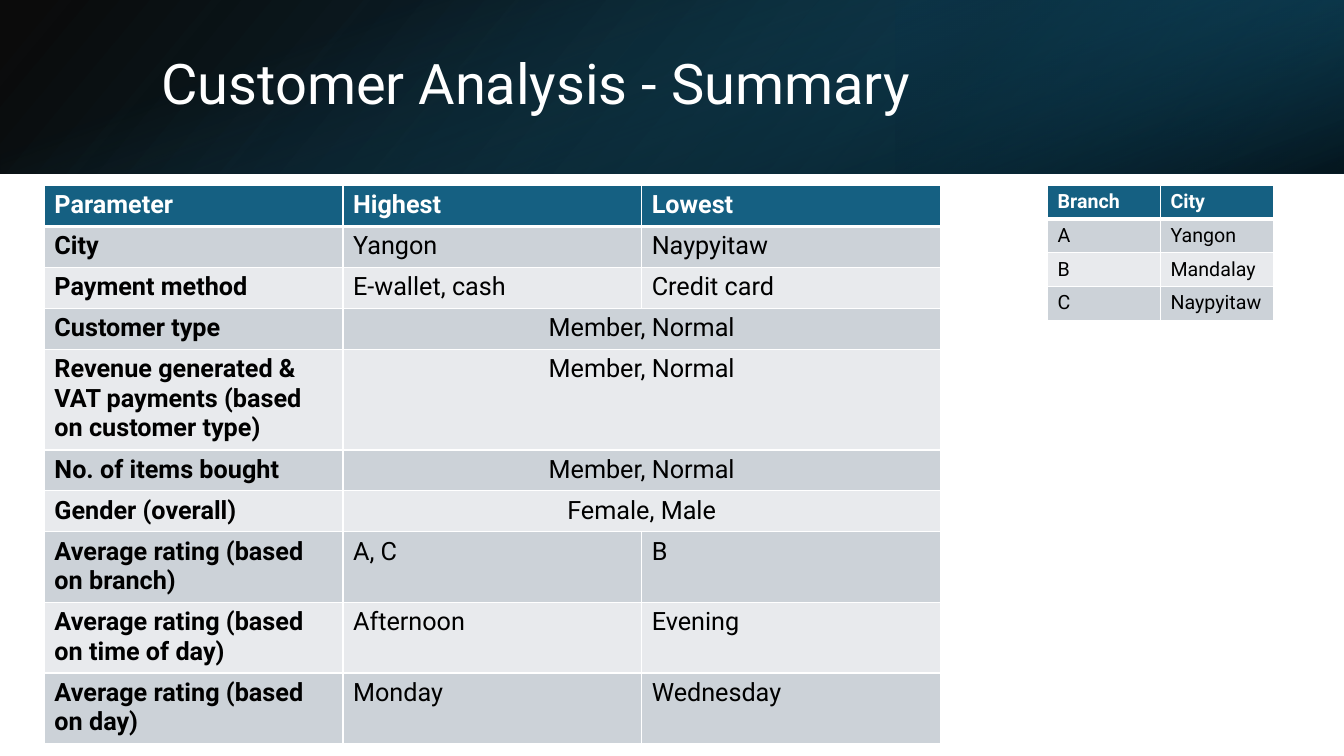
from lxml import etree
from pptx import Presentation
from pptx.dml.color import RGBColor
from pptx.enum.shapes import MSO_SHAPE
from pptx.enum.text import MSO_ANCHOR, PP_ALIGN
from pptx.oxml.ns import qn
from pptx.util import Inches, Pt

RECTANGLE = MSO_SHAPE.RECTANGLE
MIDDLE = MSO_ANCHOR.MIDDLE
LEFT, CENTER = PP_ALIGN.LEFT, PP_ALIGN.CENTER

WIDTH, HEIGHT = 13.33, 7.5
BANNER_HEIGHT = 1.72
TABLE_TOP = 1.84
FONT = "Roboto"
COLORS = {
    "black": "000000",
    "white": "FFFFFF",
    "teal": "156082",
    "deep_teal": "104862",
    "navy": "0B3041",
    "band_dark": "CCD2D8",
    "band_light": "E8EAED",
}

SUMMARY_ROWS = [
    ("Parameter", "Highest", "Lowest"),
    ("City", "Yangon", "Naypyitaw"),
    ("Payment method", "E-wallet, cash", "Credit card"),
    ("Customer type", "Member, Normal"),
    ("Revenue generated & VAT payments (based on customer type)", "Member, Normal"),
    ("No. of items bought", "Member, Normal"),
    ("Gender (overall)", "Female, Male"),
    ("Average rating (based on branch)", "A, C", "B"),
    ("Average rating (based on time of day)", "Afternoon", "Evening"),
    ("Average rating (based on day)", "Monday", "Wednesday"),
]
BRANCH_ROWS = [
    ("Branch", "City"),
    ("A", "Yangon"),
    ("B", "Mandalay"),
    ("C", "Naypyitaw"),
]


def color(name):
    """Return the named colour."""
    return RGBColor.from_string(COLORS[name])


def write_text(frame, text, size=18, fill="black", bold=False, align=LEFT, spacing=1.0):
    """Write one formatted paragraph into a text frame."""
    paragraph = frame.paragraphs[0]
    paragraph.alignment = align
    paragraph.line_spacing = spacing
    run = paragraph.add_run()
    run.text = text
    run.font.name = FONT
    run.font.size = Pt(size)
    run.font.bold = bold
    run.font.color.rgb = color(fill)


def add_gradient(slide, box, stops, angle, rotation=0, flip=False):
    """Add a rectangle with a gradient of (position, colour, opacity) stops."""
    shape = slide.shapes.add_shape(RECTANGLE, *map(Inches, box))
    shape.shadow.inherit = False
    shape.line.fill.background()
    shape.rotation = rotation
    properties = shape._element.spPr
    if flip:
        properties.get_or_add_xfrm().set("flipH", "1")
    shape.fill.gradient()
    shape.fill.gradient_angle = 360 - angle
    for stop, (position, name, _) in zip(shape.fill.gradient_stops, stops):
        stop.position = position / 100
        stop.color.rgb = color(name)
    for tint, (_, _, opacity) in zip(properties.iter(qn("a:srgbClr")), stops):
        etree.SubElement(tint, qn("a:alpha")).set("val", str(opacity * 1000))


def add_banner(slide, left, top, width, height):
    """Layer the three gradients of the banner and put the title on them."""
    add_gradient(slide, (left, top, width, height),
                 [(0, "black", 96), (100, "deep_teal", 100)], 140, flip=True)
    add_gradient(slide, (left + width * 2 / 3, top, width / 3, height),
                 [(19, "navy", 68), (100, "teal", 79)], 320, rotation=180, flip=True)
    offset = (width - height) / 2
    add_gradient(slide, (left + offset, top - offset, height, width),
                 [(23, "teal", 0), (99, "black", 74)], 340, rotation=90)
    title = slide.shapes.add_textbox(
        Inches(left + 1.5), Inches(top + 0.38), Inches(10.98), Inches(0.96))
    title.text_frame.word_wrap = True
    title.text_frame.vertical_anchor = MIDDLE
    write_text(title.text_frame, "Customer Analysis - Summary",
               size=40, fill="white", spacing=0.9)


def set_borders(cell, top, bottom):
    """Give a cell white borders with the given top and bottom widths."""
    properties = cell._tc.get_or_add_tcPr()
    for side, points in (("L", 1), ("R", 1), ("T", top), ("B", bottom)):
        line = etree.SubElement(properties, qn(f"a:ln{side}"), w=str(Pt(points)))
        fill = etree.SubElement(line, qn("a:solidFill"))
        etree.SubElement(fill, qn("a:srgbClr"), val=COLORS["white"])


def add_banded_table(slide, left, top, width, height, rows, size, bold_labels=False):
    """Add a table with a header, banded rows and short rows merged to the right."""
    column_count = len(rows[0])
    table = slide.shapes.add_table(
        len(rows), column_count, *map(Inches, (left, top, width, height))).table
    for row_index, texts in enumerate(rows):
        header = row_index == 0
        band = "teal" if header else ("band_light", "band_dark")[row_index % 2]
        for column in range(column_count):
            cell = table.cell(row_index, column)
            set_borders(cell, 3 if row_index == 1 else 1, 3 if header else 1)
            cell.fill.solid()
            cell.fill.fore_color.rgb = color(band)
        merged = len(texts) < column_count
        if merged:
            table.cell(row_index, 1).merge(table.cell(row_index, column_count - 1))
        for column, text in enumerate(texts):
            write_text(table.cell(row_index, column).text_frame, text, size=size,
                       fill="white" if header else "black",
                       bold=header or (bold_labels and column == 0),
                       align=CENTER if merged and column else LEFT)


def main():
    """Build and save the customer summary slide."""
    presentation = Presentation()
    presentation.slide_width = Inches(WIDTH)
    presentation.slide_height = Inches(HEIGHT)
    slide = presentation.slides.add_slide(presentation.slide_layouts[6])
    add_banner(slide, 0, 0, WIDTH, BANNER_HEIGHT)
    add_banded_table(slide, 0.44, TABLE_TOP, WIDTH * 2 / 3, 4.06,
                     SUMMARY_ROWS, size=18, bold_labels=True)
    add_banded_table(slide, 10.39, TABLE_TOP, 2.24, 1.33, BRANCH_ROWS, size=14)
    presentation.save("out.pptx")


if __name__ == "__main__":
    main()
